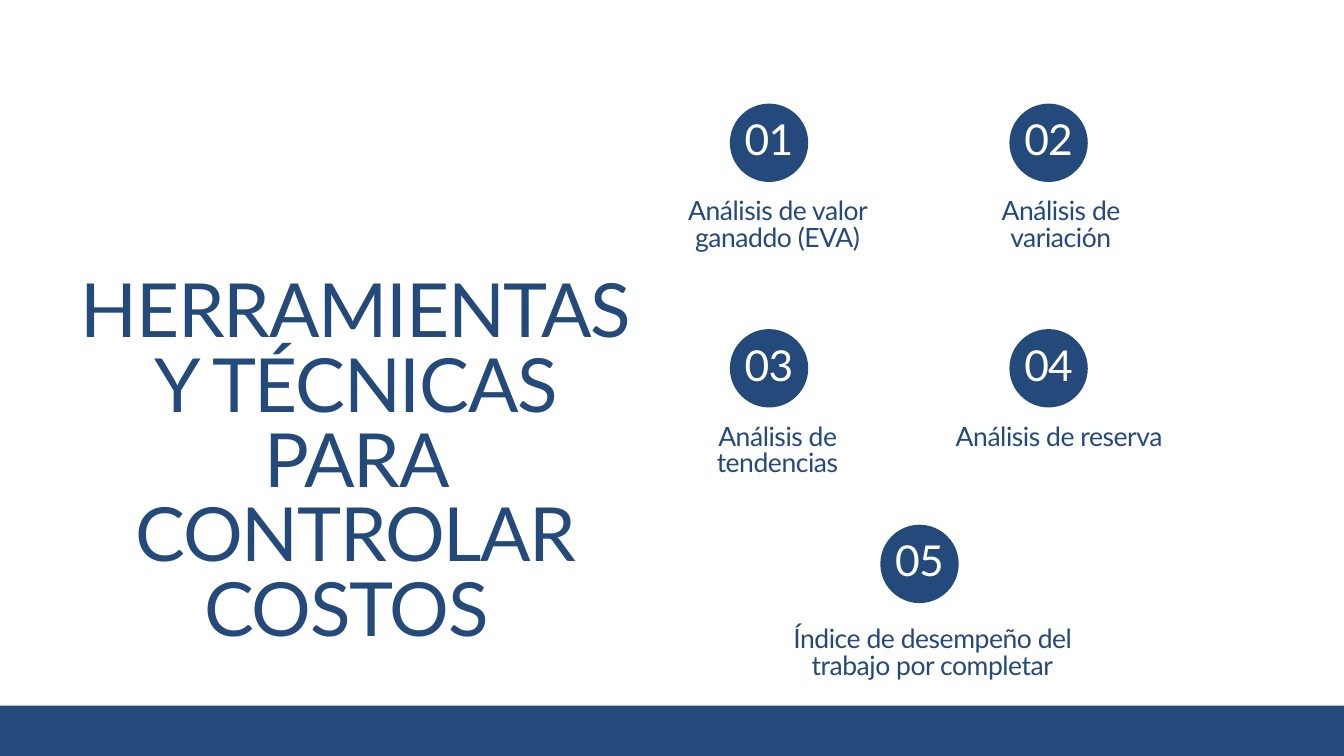
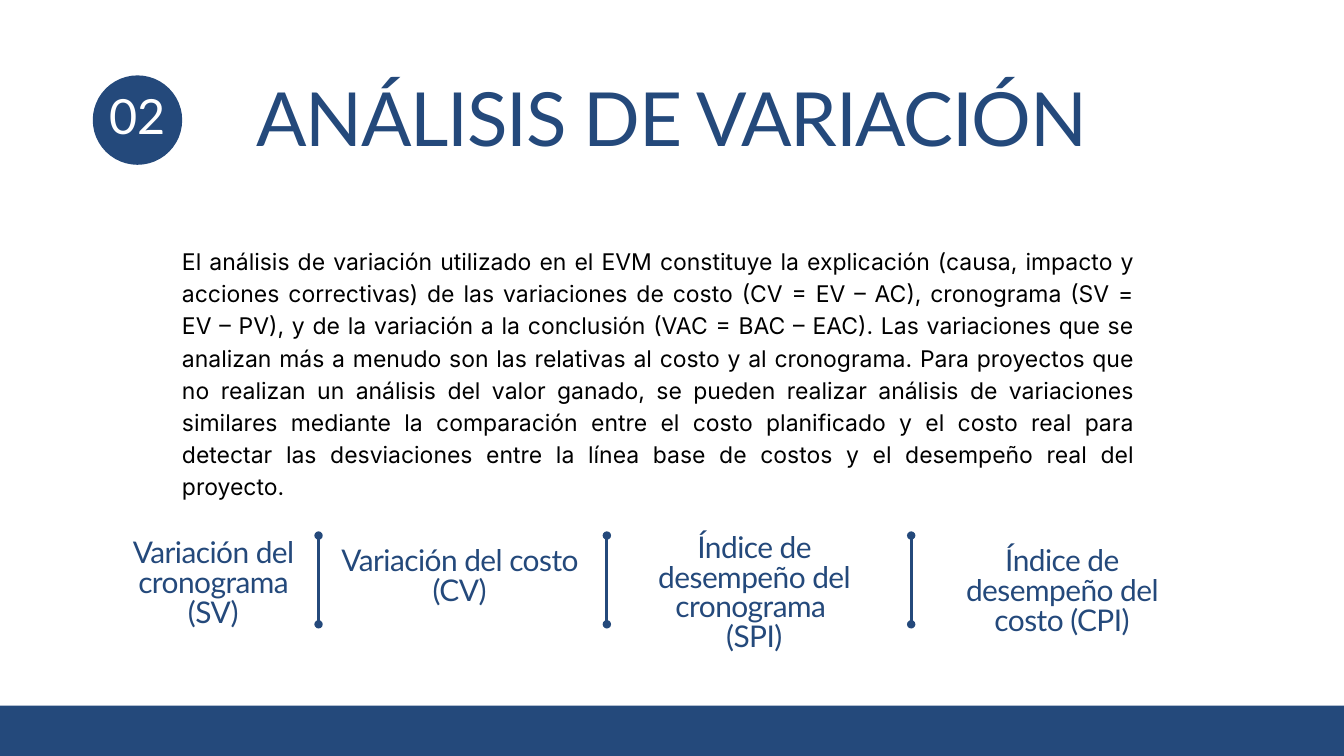
from lxml.etree import SubElement
from pptx import Presentation
from pptx.dml.color import RGBColor
from pptx.enum.shapes import MSO_CONNECTOR, MSO_SHAPE
from pptx.enum.text import MSO_ANCHOR, MSO_AUTO_SIZE, PP_ALIGN
from pptx.oxml.ns import qn
from pptx.util import Pt

NAVY = RGBColor(0x24, 0x49, 0x7B)
WHITE = RGBColor(0xFF, 0xFF, 0xFF)
BLACK = RGBColor(0, 0, 0)
WIDTH, HEIGHT, BAND_TOP = 1440, 810, 756
TITLE_SIZE = 80
LABEL_SIZE, LABEL_HEIGHT = 28.4, 57
BADGE = 84

TOOLS_TITLE = ["HERRAMIENTAS ", "Y TÉCNICAS PARA CONTROLAR COSTOS "]
LEFT_COLUMN, RIGHT_COLUMN, MIDDLE = 782, 1081.5, 943.2
ROWS = (111, 352.6, 562.2)
# label, badge left, badge top, label left, label width, label drop, alignment
TOOLS = [
    ("Análisis de valor ganaddo (EVA)", LEFT_COLUMN, ROWS[0], 720, 226, 102.6, PP_ALIGN.CENTER),
    ("Análisis de variación", RIGHT_COLUMN, ROWS[0], 1018, 237, 102.6, PP_ALIGN.CENTER),
    ("Análisis de tendencias", LEFT_COLUMN, ROWS[1], 720, 226, 102.6, PP_ALIGN.CENTER),
    ("Análisis de reserva", RIGHT_COLUMN, ROWS[1], 1024, 226, 102.6, PP_ALIGN.LEFT),
    ("Índice de desempeño del trabajo por completar", MIDDLE, ROWS[2], 833, 332, 110.2,
     PP_ALIGN.CENTER),
]

VARIANCE_TITLE = ["ANÁLISIS DE VARIACIÓN"]
VARIANCE_TEXT = (
    "El análisis de variación utilizado en el EVM constituye la explicación (causa, impacto y "
    "acciones correctivas) de las variaciones de costo (CV = EV – AC), cronograma (SV = EV – PV), "
    "y de la variación a la conclusión (VAC = BAC – EAC). Las variaciones que se analizan más a "
    "menudo son las relativas al costo y al cronograma. Para proyectos que no realizan un análisis "
    "del valor ganado, se pueden realizar análisis de variaciones similares mediante la "
    "comparación entre el costo planificado y el costo real para detectar las desviaciones entre "
    "la línea base de costos y el desempeño real del proyecto. "
)
MEASURES = [
    (["Variación del cronograma (SV)"], (131, 578.2, 195, 96)),
    (["Variación del costo (CV)"], (356.4, 586.8, 272.2, 64)),
    (["Índice de desempeño del cronograma ", "(SPI)"], (671, 572.4, 274.3, 96)),
    (["Índice de desempeño del costo (CPI)"], (997.2, 586.8, 281.5, 64)),
]
DIVIDERS = (341.3, 650.2, 976.3)
DIVIDER_TOP, DIVIDER_BOTTOM = 573.8, 668.9


def place(shape, area):
    """Move a shape to left, top, width and height in points."""
    shape.left, shape.top, shape.width, shape.height = map(Pt, area)


def write(shape, lines, size, color=NAVY, font="Lato", align=PP_ALIGN.CENTER,
          leading=None, tracking=-0.0175, anchor=MSO_ANCHOR.TOP):
    """Fill a shape with tightly set paragraphs."""
    frame = shape.text_frame
    frame.text = "\n".join(lines)
    frame.word_wrap = True
    frame.auto_size = MSO_AUTO_SIZE.NONE
    frame.vertical_anchor = anchor
    frame.margin_left = frame.margin_right = frame.margin_top = frame.margin_bottom = 0
    for para in frame.paragraphs:
        para.alignment = align
        para.line_spacing = Pt(leading or size)
        para.space_before = Pt(0)
        for span in para.runs:
            span.font.size = Pt(size)
            span.font.name = font
            span.font.color.rgb = color
            if tracking:
                span.font._element.set("spc", str(round(size * tracking * 10) * 10))


def add_solid(page, kind, area):
    """Add a plain navy shape."""
    shape = page.shapes.add_shape(kind, *map(Pt, area))
    shape.shadow.inherit = False
    shape.fill.solid()
    shape.fill.fore_color.rgb = NAVY
    shape.line.fill.background()
    return shape


def add_badge(page, number, left, top, diameter, size):
    """Add a numbered circle."""
    badge = add_solid(page, MSO_SHAPE.OVAL, (left, top, diameter, diameter))
    write(badge, [f"{number:02d}"], size, WHITE, anchor=MSO_ANCHOR.MIDDLE)


def add_label(page, lines, area, size, align=PP_ALIGN.CENTER):
    """Add a navy caption."""
    write(page.shapes.add_textbox(*map(Pt, area)), lines, size, align=align)


def add_divider(page, x):
    """Add an upright line with round ends."""
    line = page.shapes.add_connector(
        MSO_CONNECTOR.STRAIGHT, Pt(x), Pt(DIVIDER_BOTTOM), Pt(x), Pt(DIVIDER_TOP))
    line.line.color.rgb = NAVY
    line.line.width = Pt(3)
    outline = line.line._get_or_add_ln()
    for end in ("a:headEnd", "a:tailEnd"):
        SubElement(outline, qn(end), type="oval")
    SubElement(line._element.spPr, qn("a:effectLst"))


def add_page(deck, layout, title, area):
    """Add a page with the shared title style and bottom band."""
    page = deck.slides.add_slide(deck.slide_layouts[layout])
    place(page.shapes.title, area)
    write(page.shapes.title, title, TITLE_SIZE)
    add_solid(page, MSO_SHAPE.RECTANGLE, (0, BAND_TOP, WIDTH, HEIGHT - BAND_TOP))
    return page


def build_tools(deck):
    """Build the list of cost control tools."""
    page = add_page(deck, 5, TOOLS_TITLE, (80.6, 298, 600.5, 400))
    for number, (label, left, top, label_left, width, drop, align) in enumerate(TOOLS, 1):
        add_badge(page, number, left, top, BADGE, 45.6)
        add_label(page, [label], (label_left, top + drop, width, LABEL_HEIGHT), LABEL_SIZE, align)


def build_variance(deck):
    """Build the variance analysis page."""
    page = add_page(deck, 1, VARIANCE_TITLE, (172, 93, 1096, 83.5))
    add_badge(page, 2, 99.4, 80.8, 95.8, 51.9)
    body = page.placeholders[1]
    place(body, (195, 260.6, 1020.2, 276))
    body.text_frame.text = VARIANCE_TEXT
    write(body, [VARIANCE_TEXT], 24.6, BLACK, "Inter", PP_ALIGN.JUSTIFY, 34.4, 0)
    properties = body.text_frame.paragraphs[0]._p.get_or_add_pPr()
    properties.set("marL", "0")
    properties.set("indent", "0")
    SubElement(properties, qn("a:buNone"))
    for lines, area in MEASURES:
        add_label(page, lines, area, 32)
    for x in DIVIDERS:
        add_divider(page, x)


def main():
    """Build and save the deck."""
    deck = Presentation()
    deck.slide_width, deck.slide_height = Pt(WIDTH), Pt(HEIGHT)
    build_tools(deck)
    build_variance(deck)
    deck.save("out.pptx")


if __name__ == "__main__":
    main()
